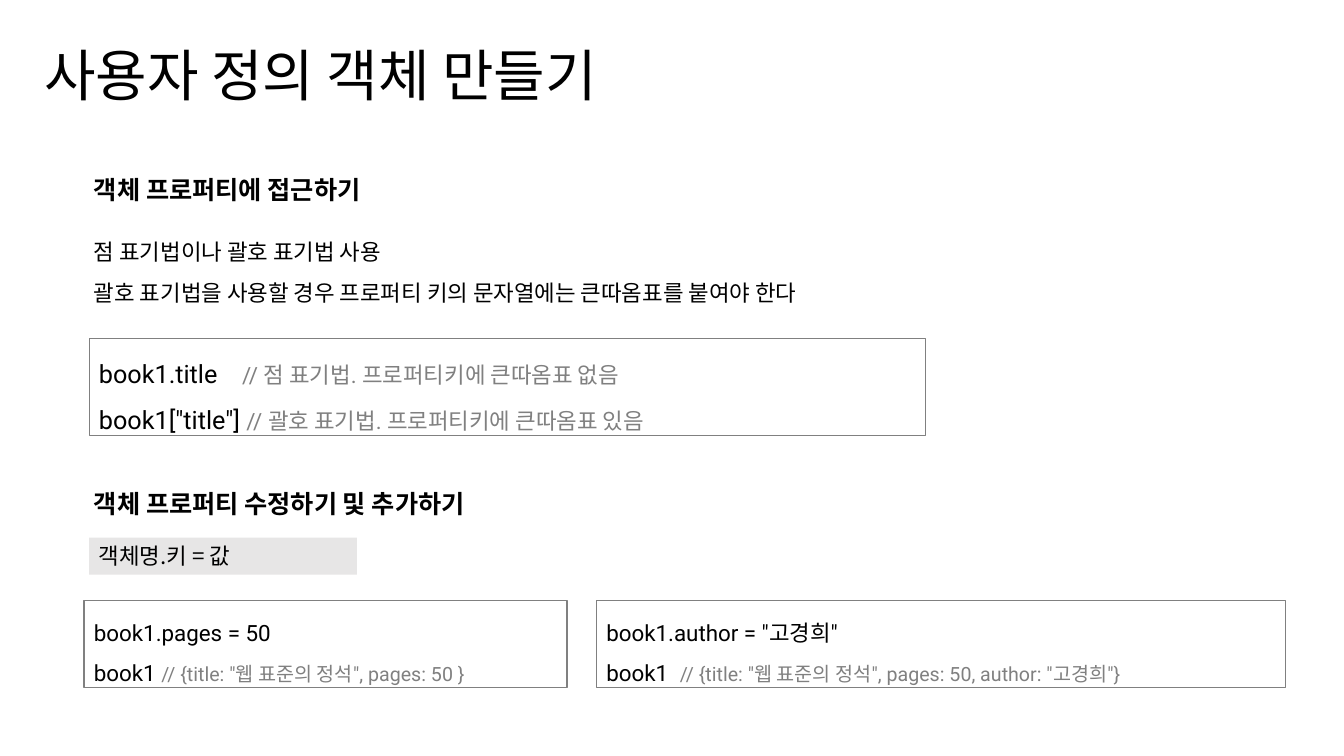
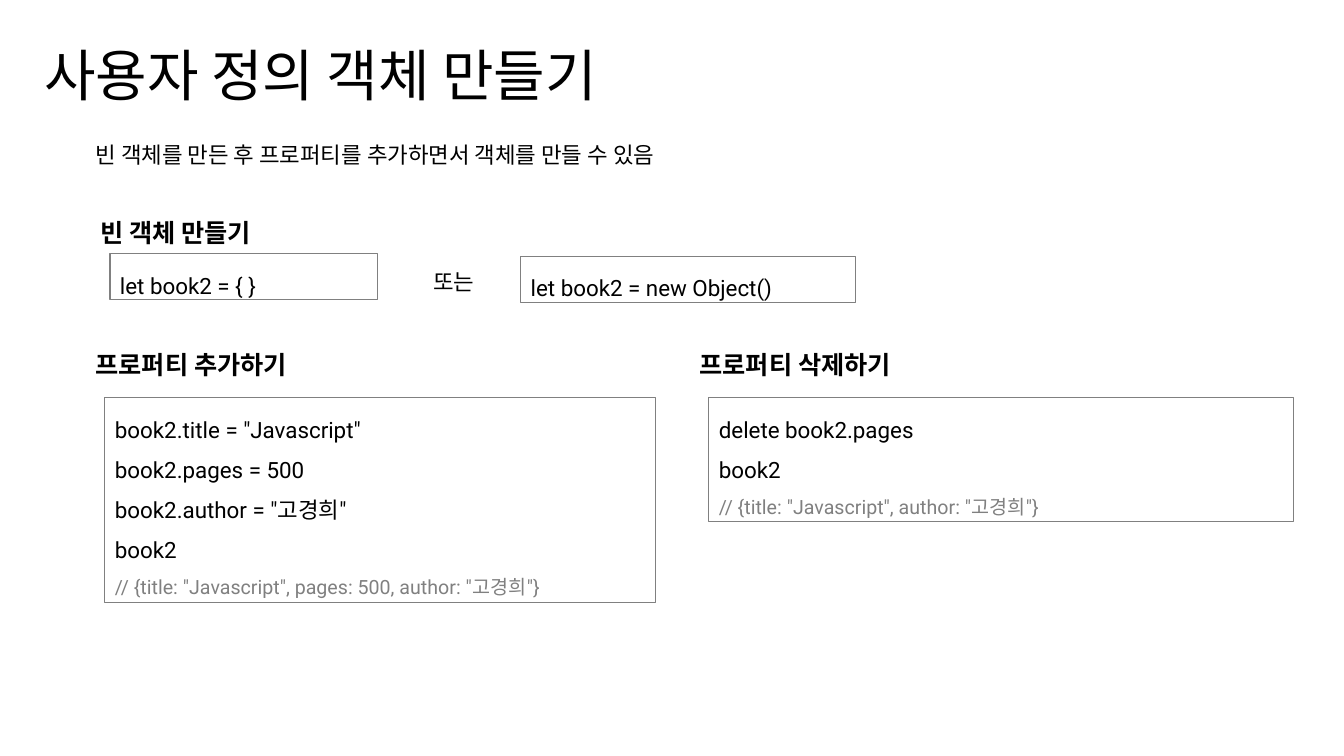
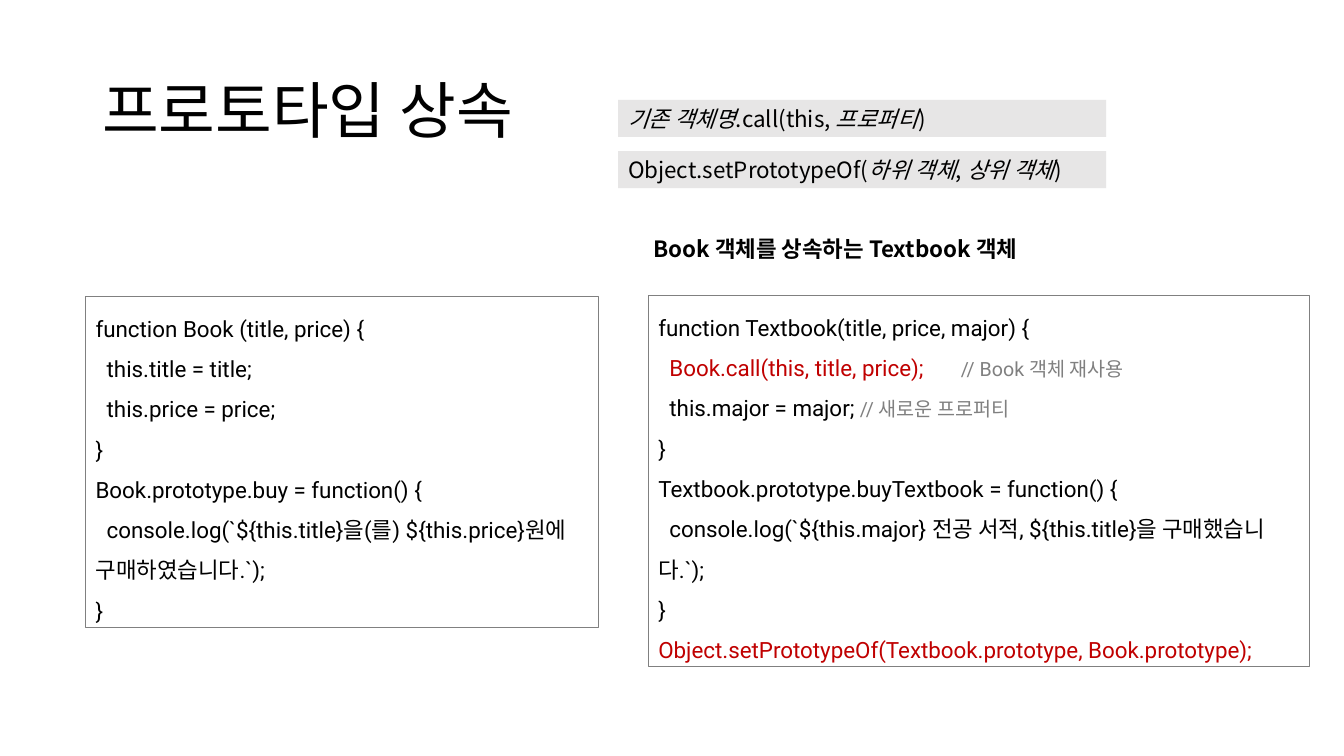
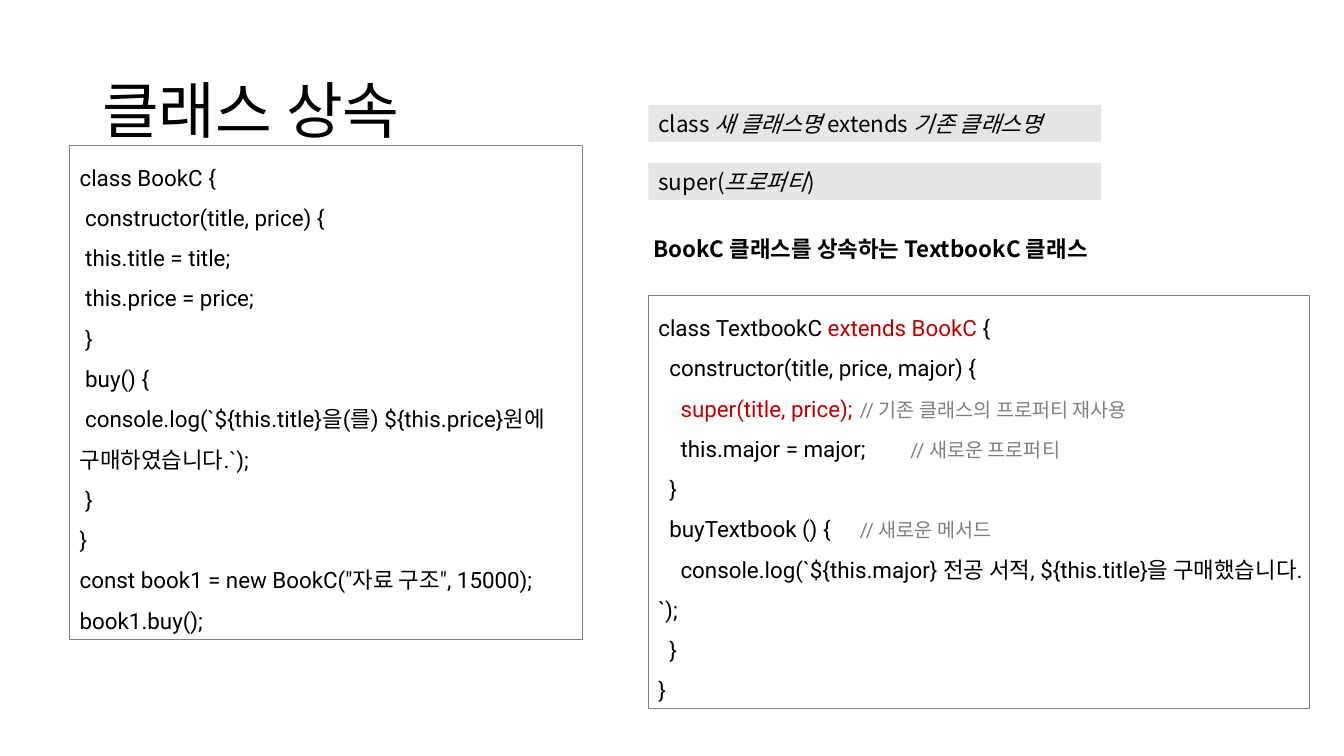
from collections import namedtuple

from pptx import Presentation, util as u
from pptx.dml.color import RGBColor
from pptx.enum import shapes, text
from pptx.oxml import xmlchemy as xml
from pptx.oxml.ns import qn

COLUMNS, ROWS = 160, 90
WIDTH, HEIGHT = u.Inches(13.333), u.Inches(7.5)
BLACK, GREY, RED, BAND = "000000", "808080", "C00000", "E7E6E6"
SANS, CODE, TITLE = "Noto Sans CJK KR", "Roboto", "Arial"
SPACE = 0.055  # inches that one step of code indentation takes
LINE_HEIGHT = 4.4
HEADING_HEIGHT = 6

Run = namedtuple("Run", "text size color italic", defaults=(16, BLACK, False))
Line = namedtuple("Line", "runs indent tab")


def rgb(color):
    """Turn a hex string into a colour."""
    return RGBColor.from_string(color)


def note(words, size=14):
    """Return a grey code comment."""
    return Run(words, size, GREY)


def key(words):
    """Return code marked in red."""
    return Run(words, color=RED)


def term(words):
    """Return an italic term that stands for something else."""
    return Run(words, italic=True)


def line(*runs, indent=0, tab=None):
    """Return a line: its runs, its indent in spaces, its tab stop in inches."""
    return Line([Run(run) if isinstance(run, str) else run for run in runs], indent, tab)


def place(column, row, columns, rows):
    """Turn grid cells into left, top, width and height."""
    return (int(WIDTH * column / COLUMNS), int(HEIGHT * row / ROWS),
            int(WIDTH * columns / COLUMNS), int(HEIGHT * rows / ROWS))


def set_tab(paragraph, inches):
    """Give a paragraph one left tab stop."""
    properties = paragraph._p.get_or_add_pPr()
    stops = xml.OxmlElement("a:tabLst")
    stop = xml.OxmlElement("a:tab")
    stop.set("pos", str(u.Inches(inches)))
    stop.set("algn", "l")
    stops.append(stop)
    fonts = properties.find(qn("a:defRPr"))
    fonts.addprevious(stops)


def write(shape, lines, font, spacing=1.0, bold=False):
    """Fill a shape with lines of text."""
    frame = shape.text_frame
    frame.word_wrap = True
    frame.vertical_anchor = text.MSO_ANCHOR.TOP
    for index, content in enumerate(lines):
        paragraph = frame.add_paragraph() if index else frame.paragraphs[0]
        paragraph.alignment = text.PP_ALIGN.LEFT
        paragraph.line_spacing = spacing
        paragraph.font.name = font
        paragraph.font.bold = bold
        if content.indent:
            paragraph._p.get_or_add_pPr().set("indent", str(u.Inches(content.indent * SPACE)))
        if content.tab:
            set_tab(paragraph, content.tab)
        for part in content.runs:
            run = paragraph.add_run()
            run.text = part.text
            run.font.size = u.Pt(part.size)
            run.font.color.rgb = rgb(part.color)
            if part.italic:
                run.font.italic = True


def add_text(slide, cells, lines, font=SANS, spacing=1.0, bold=False):
    """Add a plain text box."""
    shape = slide.shapes.add_textbox(*place(*cells))
    write(shape, lines, font, spacing, bold)
    return shape


def add_heading(slide, column, row, columns, words):
    """Add a bold heading above a part of the slide."""
    add_text(slide, (column, row, columns, HEADING_HEIGHT), [line(Run(words, 18))],
             spacing=1.5, bold=True)


def add_panel(slide, cells):
    """Add a rectangle without fill, line or shadow."""
    shape = slide.shapes.add_shape(shapes.MSO_SHAPE.RECTANGLE, *place(*cells))
    shape.shadow.inherit = False
    shape.fill.background()
    shape.line.fill.background()
    return shape


def add_code(slide, cells, *lines):
    """Add an outlined box of code."""
    shape = add_panel(slide, cells)
    shape.line.color.rgb = rgb(GREY)
    shape.line.width = u.Pt(0.75)
    write(shape, lines, CODE, 1.5)


def add_syntax(slide, column, row, columns, *runs):
    """Add a grey band that shows a syntax rule."""
    shape = add_panel(slide, (column, row, columns, LINE_HEIGHT))
    shape.fill.solid()
    shape.fill.fore_color.rgb = rgb(BAND)
    write(shape, [line(*runs)], SANS)


def add_slide(presentation):
    """Add a blank slide."""
    return presentation.slides.add_slide(presentation.slide_layouts[6])


def add_object_slide(presentation):
    """Add a slide of the part on custom objects, with its title."""
    slide = add_slide(presentation)
    add_text(slide, (4.1, 4.2, 70.6, 9.2), [line(Run("사용자 정의 객체 만들기", 40))])
    return slide


def add_inheritance_slide(presentation, title, subtitle):
    """Add a slide of the part on inheritance, with title and subtitle."""
    slide = add_slide(presentation)
    box = add_text(slide, (11, 4.8, 138, 17.4), [line(Run(title, 44))], TITLE, 0.9)
    box.text_frame.vertical_anchor = text.MSO_ANCHOR.MIDDLE
    add_text(slide, (76.6, 27.4, 80, LINE_HEIGHT), [line(subtitle)], bold=True)
    return slide


def build_access(presentation):
    """Build the slide on reading and changing properties."""
    slide = add_object_slide(presentation)
    add_heading(slide, 10, 18.4, 47.8, "객체 프로퍼티에 접근하기")
    add_text(slide, (10, 26.2, 96.5, 10.3), [
        line("점 표기법이나 괄호 표기법 사용"),
        line("괄호 표기법을 사용할 경우 프로퍼티 키의 문자열에는 큰따옴표를 붙여야 한다"),
    ], spacing=1.5)
    add_code(slide, (10.6, 40.3, 99.6, 11.5),
             line(Run("book1.title\t", 18), note("// 점 표기법. 프로퍼티키에 큰따옴표 없음", 16), tab=1.42),
             line(Run('book1["title"] ', 18), note("// 괄호 표기법. 프로퍼티키에 큰따옴표 있음", 16)))
    add_heading(slide, 10, 55.7, 57.5, "객체 프로퍼티 수정하기 및 추가하기")
    add_syntax(slide, 10.6, 64, 31.9, "객체명.키 = 값")
    add_code(slide, (10, 71.5, 57.5, 10.4),
             line("book1.pages = 50"),
             line("book1 ", note('// {title: "웹 표준의 정석", pages: 50 }')))
    add_code(slide, (71, 71.5, 82.1, 10.4),
             line('book1.author = "고경희"'),
             line("book1\t", note('// {title: "웹 표준의 정석", pages: 50, author: "고경희"}'),
                  tab=0.73))


def build_empty_object(presentation):
    """Build the slide on filling an empty object."""
    slide = add_object_slide(presentation)
    add_text(slide, (10.2, 16.2, 93.6, LINE_HEIGHT),
             [line("빈 객체를 만든 후 프로퍼티를 추가하면서 객체를 만들 수 있음")])
    add_heading(slide, 10.8, 23.5, 73.4, "빈 객체 만들기")
    add_code(slide, (13.1, 30.2, 31.9, 5.5), line("let book2 = { }"))
    add_text(slide, (50.4, 31.3, 9, LINE_HEIGHT), [line("또는")])
    add_code(slide, (62, 30.5, 39.8, 5.5), line("let book2 = new Object()"))
    add_heading(slide, 10.2, 39.2, 35.8, "프로퍼티 추가하기")
    add_code(slide, (12.5, 47.3, 65.5, 24.4),
             line('book2.title = "Javascript"'),
             line("book2.pages = 500"),
             line('book2.author = "고경희"'),
             line("book2"),
             line(note('// {title: "Javascript", pages: 500, author: "고경희"}')))
    add_heading(slide, 82.1, 39.2, 35.8, "프로퍼티 삭제하기")
    add_code(slide, (84.4, 47.3, 69.6, 14.8),
             line("delete book2.pages"),
             line("book2"),
             line(note('// {title: "Javascript", author: "고경희"}')))


def build_prototype(presentation):
    """Build the slide on prototype inheritance."""
    slide = add_inheritance_slide(presentation, "프로토타입 상속",
                                  "Book 객체를 상속하는 Textbook 객체")
    add_syntax(slide, 73.6, 11.9, 58.1,
               term("기존 객체명"), ".call(this, ", term("프로퍼티"), ")")
    add_syntax(slide, 73.6, 18, 58.1, "Object.setPrototypeOf(",
               term("하위 객체"), ", ", term("상위 객체"), ")")
    add_code(slide, (10.2, 35.3, 61.1, 39.4),
             line("function Book (title, price) {"),
             line("this.title = title;", indent=2),
             line("this.price = price;", indent=2),
             line("}"),
             line("Book.prototype.buy = function() {"),
             line("console.log(`${this.title}을(를) ${this.price}원에 구매하였습니다.`);", indent=2),
             line("}"))
    add_code(slide, (77.2, 35.2, 78.7, 44.2),
             line("function Textbook(title, price, major) {"),
             line(key("Book.call(this, title, price);\t"), note("// Book 객체 재사용"),
                  indent=2, tab=2.74),
             line("this.major = major;\t", note("// 새로운 프로퍼티"), indent=2, tab=2.16),
             line("}"),
             line("Textbook.prototype.buyTextbook = function() {"),
             line("console.log(`${this.major} 전공 서적, ${this.title}을 구매했습니다.`);", indent=2),
             line("}"),
             line(key("Object.setPrototypeOf(Textbook.prototype, Book.prototype);")))


def build_class(presentation):
    """Build the slide on class inheritance."""
    slide = add_inheritance_slide(presentation, "클래스 상속",
                                  "BookC 클래스를 상속하는 TextbookC 클래스")
    add_syntax(slide, 77.2, 12.5, 53.9,
               "class ", term("새 클래스명 "), "extends ", term("기존 클래스명"))
    add_syntax(slide, 77.2, 19.4, 53.9, "super(", term("프로퍼티"), ")")
    add_code(slide, (8.3, 17.3, 61.1, 58.8),
             line("class BookC {"),
             line("constructor(title, price) {", indent=1),
             line("this.title = title;", indent=1),
             line("this.price = price;", indent=1),
             line("}", indent=1),
             line("buy() {", indent=1),
             line("console.log(`${this.title}을(를) ${this.price}원에 구매하였습니다.`);", indent=1),
             line("}", indent=1),
             line("}"),
             line('const book1 = new BookC("자료 구조", 15000);'),
             line("book1.buy();"))
    add_code(slide, (77.2, 35.2, 78.7, 49.1),
             line("class TextbookC ", key("extends BookC "), "{"),
             line("constructor(title, price, major) {", indent=2),
             line(key("super(title, price);\t"), note("// 기존 클래스의 프로퍼티 재사용"),
                  indent=4, tab=2.09),
             line("this.major = major;\t", note("// 새로운 프로퍼티"), indent=4, tab=2.22),
             line("}", indent=2),
             line("buyTextbook () {\t", note("// 새로운 메서드"), indent=2, tab=1.88),
             line("console.log(`${this.major} 전공 서적, ${this.title}을 구매했습니다.`);", indent=4),
             line("}", indent=2),
             line("}"))


def main():
    """Build and save the presentation."""
    presentation = Presentation()
    presentation.slide_width, presentation.slide_height = WIDTH, HEIGHT
    build_access(presentation)
    build_empty_object(presentation)
    build_prototype(presentation)
    build_class(presentation)
    presentation.save("out.pptx")


main()
